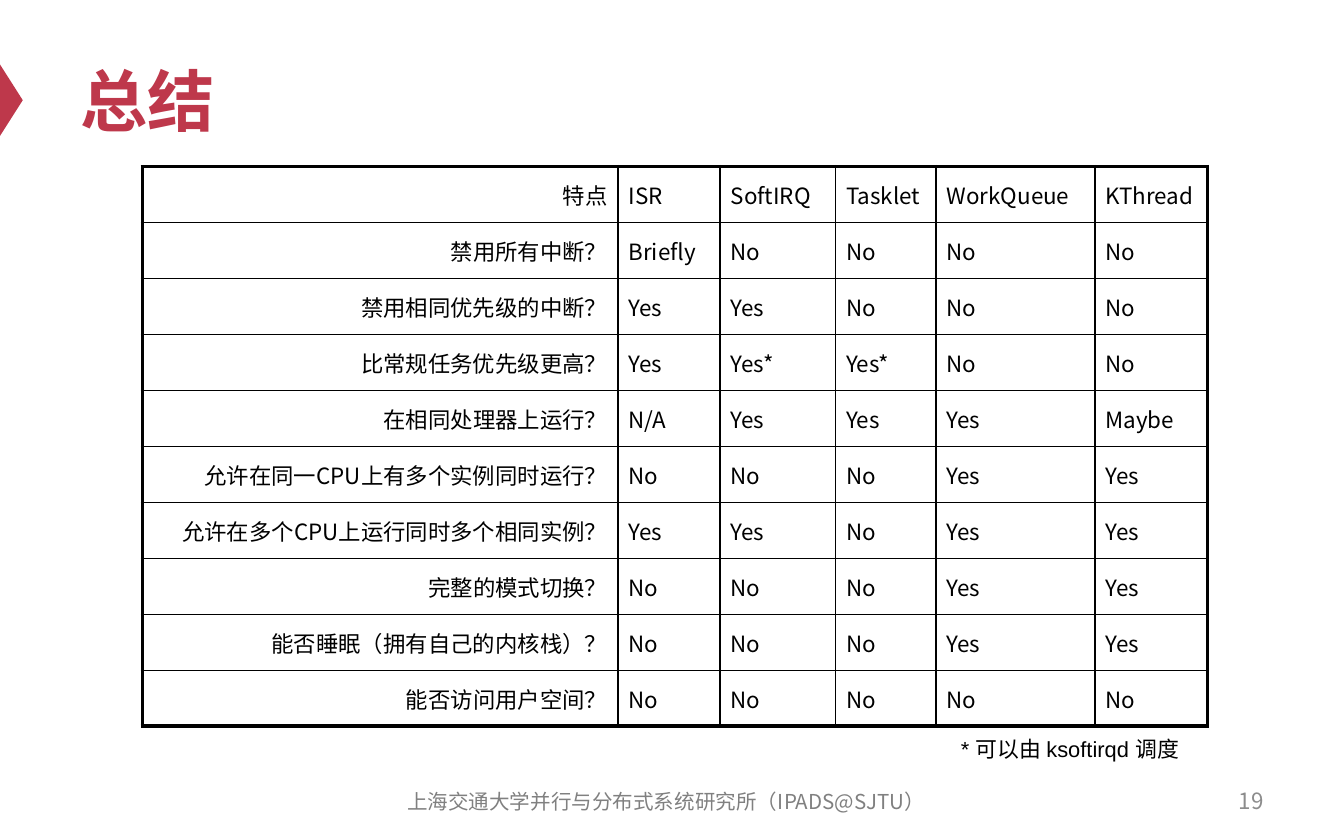
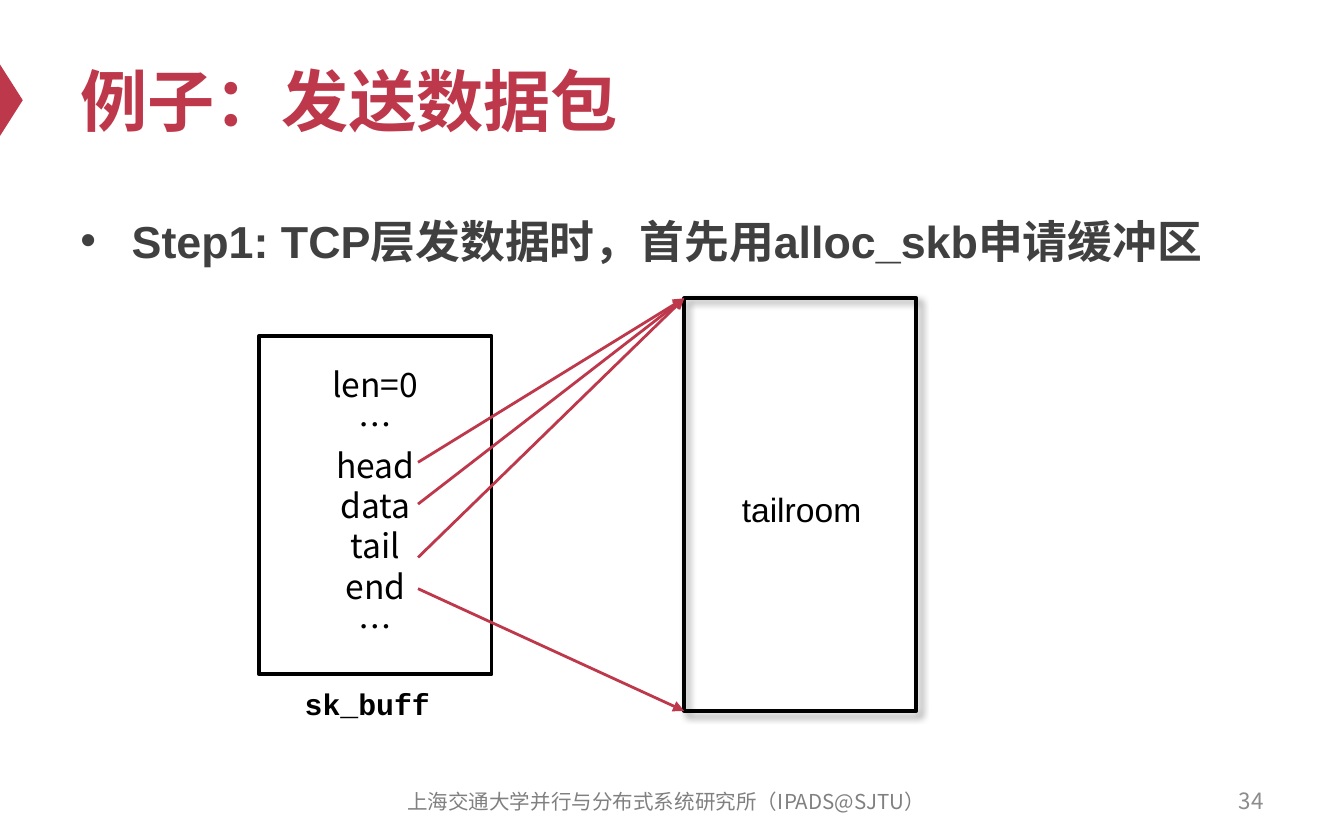
from collections import namedtuple

from lxml import etree
from pptx import Presentation, util as u
from pptx.dml.color import RGBColor
from pptx.enum import shapes, text
from pptx.oxml import ns

COLORS = {"accent": "BE384B", "black": "000000", "body": "404040",
          "footer": "808080", "number": "8C8C8C"}
SANS, CJK, MONO = "Arial", "Noto Sans CJK SC", "Courier New"
FOOTER = "上海交通大学并行与分布式系统研究所（IPADS@SJTU）"
Box = namedtuple("Box", "left top width height")
LEFT, CENTER, RIGHT = text.PP_ALIGN.LEFT, text.PP_ALIGN.CENTER, text.PP_ALIGN.RIGHT
TOP, MIDDLE = text.MSO_ANCHOR.TOP, text.MSO_ANCHOR.MIDDLE

COLUMN_WIDTHS = [8.99, 1.93, 2.18, 1.9, 3, 2.13]
FEATURES = [
    ["特点", "ISR", "SoftIRQ", "Tasklet", "WorkQueue", "KThread"],
    ["禁用所有中断？", "Briefly", "No", "No", "No", "No"],
    ["禁用相同优先级的中断？", "Yes", "Yes", "No", "No", "No"],
    ["比常规任务优先级更高？", "Yes", "Yes*", "Yes*", "No", "No"],
    ["在相同处理器上运行？", "N/A", "Yes", "Yes", "Yes", "Maybe"],
    ["允许在同一CPU上有多个实例同时运行？", "No", "No", "No", "Yes", "Yes"],
    ["允许在多个CPU上运行同时多个相同实例？", "Yes", "Yes", "No", "Yes", "Yes"],
    ["完整的模式切换？", "No", "No", "No", "Yes", "Yes"],
    ["能否睡眠（拥有自己的内核栈）？", "No", "No", "No", "Yes", "Yes"],
    ["能否访问用户空间？", "No", "No", "No", "No", "No"],
]


def rgb(name):
    """Return a named colour."""
    return RGBColor.from_string(COLORS[name])


def lengths(box):
    """Turn a box in centimetres into lengths."""
    return [u.Cm(value) for value in box]


def add_xml(parent, tag, **attributes):
    """Append a drawing element to a parent."""
    return etree.SubElement(parent, ns.qn(tag), attributes)


def write(frame, content, size, color, font=CJK, bold=False, align=LEFT):
    """Fill a text frame and format all its runs."""
    frame.text = content
    for paragraph in frame.paragraphs:
        paragraph.alignment = align
        for run in paragraph.runs:
            run.font.size = u.Pt(size)
            run.font.bold = bold
            run.font.name = font
            run.font.color.rgb = rgb(color)
            add_xml(run._r.get_or_add_rPr(), "a:ea", typeface=CJK)


def add_text(slide, box, content, size, color, anchor=TOP, wrap=True, **style):
    """Add a text box and return its frame."""
    frame = slide.shapes.add_textbox(*lengths(box)).text_frame
    frame.word_wrap = wrap
    frame.vertical_anchor = anchor
    write(frame, content, size, color, **style)
    return frame


def add_slide(presentation, title, number):
    """Add a slide with the shared marker, title and footer."""
    slide = presentation.slides.add_slide(presentation.slide_layouts[6])
    marker = slide.shapes.add_shape(shapes.MSO_SHAPE.ISOSCELES_TRIANGLE,
                                    *lengths(Box(-0.46, 1.68, 1.35, 0.43)))
    marker.rotation = 90
    marker.shadow.inherit = False
    marker.fill.solid()
    marker.fill.fore_color.rgb = rgb("accent")
    marker.line.fill.background()
    add_text(slide, Box(1.27, 0.64, 22.86, 2.48), title, 36, "accent", MIDDLE,
             font=SANS, bold=True)
    add_text(slide, Box(18.21, 14.71, 5.92, 0.84), str(number), 12, "number", MIDDLE,
             align=RIGHT)
    add_text(slide, Box(7.09, 14.73, 11, 0.84), FOOTER, 11, "footer", MIDDLE, align=CENTER)
    return slide


def set_borders(cell, widths):
    """Draw the left, right, top and bottom borders of a cell."""
    properties = cell._tc.get_or_add_tcPr()
    for position, (side, width) in enumerate(zip("LRTB", widths)):
        line = etree.Element(ns.qn(f"a:ln{side}"), w=str(u.Pt(width)))
        add_xml(add_xml(line, "a:solidFill"), "a:srgbClr", val=COLORS["black"])
        properties.insert(position, line)


def add_feature_table(slide, box):
    """Add the comparison table with a thick outer frame."""
    last_row, last_column = len(FEATURES) - 1, len(COLUMN_WIDTHS) - 1
    table = slide.shapes.add_table(last_row + 1, last_column + 1, *lengths(box)).table
    table.first_row = table.horz_banding = False
    for column, width in zip(table.columns, COLUMN_WIDTHS):
        column.width = u.Cm(width)
    for row_index, values in enumerate(FEATURES):
        table.rows[row_index].height = u.Cm(box.height / len(FEATURES))
        for column_index, value in enumerate(values):
            cell = table.cell(row_index, column_index)
            cell.fill.background()
            cell.vertical_anchor = MIDDLE
            cell.margin_left = cell.margin_right = u.Cm(0.2)
            cell.margin_top = cell.margin_bottom = u.Cm(0.1)
            write(cell.text_frame, value, 12, "black",
                  align=LEFT if column_index else RIGHT)
            outer = (column_index == 0, column_index == last_column,
                     row_index == 0, row_index == last_row)
            set_borders(cell, [2.25 if edge else 1 for edge in outer])


def add_step(slide, box, content):
    """Add a bold bulleted step."""
    frame = add_text(slide, box, content, 24, "body", font=SANS, bold=True)
    paragraph = frame.paragraphs[0]
    paragraph.line_spacing = 1.2
    properties = paragraph._p.get_or_add_pPr()
    properties.set("marL", str(u.Cm(0.97)))
    properties.set("indent", str(u.Cm(-0.97)))
    add_xml(properties, "a:buFont", typeface=SANS)
    add_xml(properties, "a:buChar", char="•")


def add_frame(slide, box):
    """Add an unfilled black rectangle."""
    shape = slide.shapes.add_shape(shapes.MSO_SHAPE.RECTANGLE, *lengths(box))
    shape.shadow.inherit = False
    shape.fill.background()
    shape.line.color.rgb = rgb("black")
    shape.line.width = u.Pt(2)
    return shape


def add_shadow(shape):
    """Give a shape a soft shadow to the lower right."""
    effects = shape._element.spPr.find(ns.qn("a:effectLst"))
    shadow = add_xml(effects, "a:outerShdw", blurRad=str(u.Pt(4)), dist=str(u.Pt(3)),
                     dir="2700000", algn="tl", rotWithShape="0")
    color = add_xml(shadow, "a:srgbClr", val=COLORS["black"])
    add_xml(color, "a:alpha", val="40000")


def add_arrow(slide, start, end):
    """Add a red arrow between two points."""
    points = [u.Cm(value) for value in (*start, *end)]
    arrow = slide.shapes.add_connector(shapes.MSO_CONNECTOR.STRAIGHT, *points)
    arrow.line.color.rgb = rgb("accent")
    arrow.line.width = u.Pt(1.5)
    add_xml(arrow.line._get_or_add_ln(), "a:tailEnd", type="triangle")
    add_xml(arrow._element.spPr, "a:effectLst")


def add_buffer_diagram(slide, box):
    """Draw the sk_buff fields pointing into the buffer."""
    left, top, width, height = box
    frame_width = 4.39
    buffer = Box(left + width - frame_width, top, frame_width, height)
    fields = Box(left, top + 0.71, frame_width, 6.4)
    add_shadow(add_frame(slide, buffer))
    frame = add_frame(slide, fields).text_frame
    frame.vertical_anchor = MIDDLE
    write(frame, "len=0\n…\nhead\ndata\ntail\nend\n…", 18, "black", align=CENTER)
    for paragraph in frame.paragraphs:
        paragraph.line_spacing = u.Pt(21.6)
    add_text(slide, Box(left + 0.61, fields.top + fields.height + 0.08, 2.92, 0.94),
             "sk_buff", 16, "black", wrap=False, font=MONO, bold=True)
    bottom = top + height
    for offset, target in ((3.1, top), (5.49, bottom), (3.89, top), (4.9, top)):
        add_arrow(slide, (left + 3, top + offset), (buffer.left, target))
    add_text(slide, Box(buffer.left + 0.84, top + 3.48, 2.79, 1.02), "tailroom", 18,
             "black", wrap=False, font=SANS)


def add_summary_slide(presentation):
    """Build the summary slide."""
    slide = add_slide(presentation, "总结", 19)
    add_feature_table(slide, Box(2.69, 3.15, sum(COLUMN_WIDTHS), 10.58))
    add_text(slide, Box(17.91, 13.79, 4.93, 0.76), "* 可以由 ksoftirqd 调度", 11.7,
             "black", wrap=False, font=SANS)


def add_example_slide(presentation):
    """Build the packet sending slide."""
    slide = add_slide(presentation, "例子：发送数据包", 34)
    add_step(slide, Box(1.27, 3.71, 22.86, 10.46),
             "Step1: TCP层发数据时，首先用alloc_skb申请缓冲区")
    add_buffer_diagram(slide, Box(4.9, 5.64, 12.42, 7.8))


def main():
    """Build and save the presentation."""
    presentation = Presentation()
    presentation.slide_width, presentation.slide_height = u.Cm(25.4), u.Cm(15.88)
    add_summary_slide(presentation)
    add_example_slide(presentation)
    presentation.save("out.pptx")


if __name__ == "__main__":
    main()
